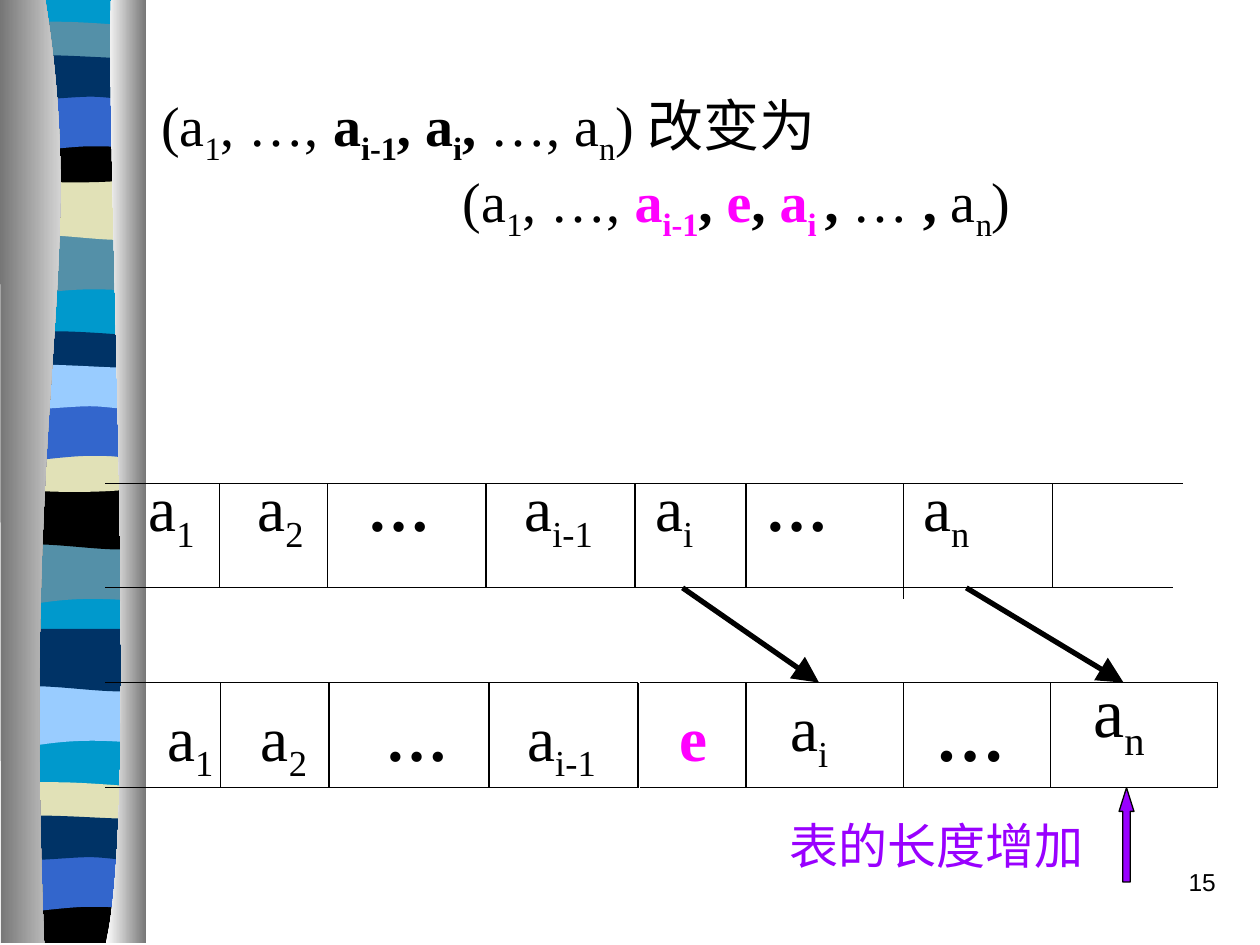
from dataclasses import dataclass

from lxml.etree import SubElement
from pptx import Presentation
from pptx.dml.color import RGBColor
from pptx.enum.shapes import MSO_CONNECTOR, MSO_SHAPE
from pptx.enum.text import PP_ALIGN
from pptx.oxml.ns import qn
from pptx.util import Cm, Pt


@dataclass(frozen=True)
class Theme:
    ink: str = "000000"
    accent: str = "FF00FF"
    note: str = "9900FF"
    cyan: str = "0099CC"
    teal: str = "5490A8"
    sand: str = "E1E1B7"
    blue: str = "3366CC"
    navy: str = "003366"
    sky: str = "99CCFF"
    shade: str = "767676"
    light: str = "FFFFFF"
    serif: str = "Times New Roman"
    sans: str = "Arial"
    formula: int = 32
    cell: int = 36
    large: int = 40
    caption: int = 28
    number: int = 14


def bend(outline, segments):
    """Merge the three lines drawn for each six-number segment into one cubic curve."""
    lines = iter(outline.findall(qn("a:lnTo")))
    for segment in segments[1:]:
        steps = [next(lines) for _ in range(len(segment) // 2)]
        if len(steps) == 1:
            continue
        curve = SubElement(outline, qn("a:cubicBezTo"))
        steps[0].addprevious(curve)
        for step in steps:
            curve.append(step[0])
            outline.remove(step)


class SlideBuilder:
    def __init__(self, slide, theme):
        self.shapes = slide.shapes
        self.theme = theme

    def outline(self, segments, colours, left=0, top=0):
        """Draw a closed outline; two colours give a gradient from left to right."""
        points = [(Cm(left + x), Cm(top + y)) for segment in segments
                  for x, y in zip(segment[::2], segment[1::2])]
        builder = self.shapes.build_freeform(*points[0])
        builder.add_line_segments(points[1:], close=True)
        shape = builder.convert_to_shape()
        bend(shape._element.find(".//" + qn("a:path")), segments)
        shape.shadow.inherit = False
        shape.line.fill.background()
        if len(colours) == 1:
            shape.fill.solid()
            shape.fill.fore_color.rgb = RGBColor.from_string(colours[0])
            return
        shape.fill.gradient()
        shape.fill.gradient_angle = 0
        for stop, colour in zip(shape.fill.gradient_stops, colours):
            stop.color.rgb = RGBColor.from_string(colour)

    def line(self, x1, y1, x2, y2, width=0.75, arrow=False):
        rule = self.shapes.add_connector(
            MSO_CONNECTOR.STRAIGHT, Cm(x1), Cm(y1), Cm(x2), Cm(y2))
        rule.line.width = Pt(width)
        rule.line.color.rgb = RGBColor.from_string(self.theme.ink)
        if arrow:
            SubElement(rule.line._get_or_add_ln(), qn("a:tailEnd"),
                       type="triangle", w="lg", len="lg")
        SubElement(rule._element.spPr, qn("a:effectLst"))

    def text(self, box, paragraphs, size, colour=None, font=None,
             align=PP_ALIGN.LEFT, tabs=(), indents=(0,)):
        """Write paragraphs of (text, marks): _ subscript, b bold, e accent colour."""
        frame = self.shapes.add_textbox(*map(Cm, box)).text_frame
        frame.word_wrap = True
        for index, (runs, indent) in enumerate(zip(paragraphs, indents)):
            paragraph = frame.add_paragraph() if index else frame.paragraphs[0]
            paragraph.alignment = align
            properties = paragraph._p.get_or_add_pPr()
            if indent:
                properties.set("marL", str(Cm(indent)))
            if tabs:
                stops = SubElement(properties, qn("a:tabLst"))
                for tab in tabs:
                    SubElement(stops, qn("a:tab"), pos=str(Cm(tab)), algn="l")
            for words, marks in runs:
                run = paragraph.add_run()
                run.text = words
                run.font.name = font or self.theme.serif
                run.font.size = Pt(size)
                run.font.bold = "b" in marks
                run.font.color.rgb = RGBColor.from_string(
                    self.theme.accent if "e" in marks else colour or self.theme.ink)
                if "_" in marks:
                    run._r.get_or_add_rPr().set("baseline", "-25000")

    def up_arrow(self, box, colour):
        shape = self.shapes.add_shape(MSO_SHAPE.UP_ARROW, *map(Cm, box))
        shape.adjustments[1] = 1.59
        shape.shadow.inherit = False
        shape.fill.solid()
        shape.fill.fore_color.rgb = RGBColor.from_string(colour)
        shape.line.width = Pt(0.75)
        shape.line.color.rgb = RGBColor.from_string(self.theme.ink)


def draw_ribbon(page, theme):
    """Draw the striped ribbon between two shaded columns on the left edge."""
    flat, width = (0, 0), 2.74
    swoop = [(width, 0), (width, 1.19), (0.84, 0.99, 0.46, 1.4, 0, 1.19), flat]
    ripple = [(width, 0), (width, 1.19), (2.29, 1.4, 0.84, 1.04, 0, 1.19), flat]
    cap = [(width, 0.13), (width, 0.74), (2.29, 0.86, 0.46, 0.86, 0, 0.74), (0, 0.13),
           (0.18, 0, 0.58, 0.03, 1.04, 0.03), (1.5, 0.03, 2.39, 0.1, width, 0.13)]
    sag = (1.68, 0.13, 2.16, 0, width, 0)
    bowl = [(width, 0), (width, 0.84), (2.29, 0.97, 0.46, 0.97, 0, 0.84), flat, sag]
    foot = [(width, 0), (width, 0.94), (0, 0.94), flat, sag]
    dome = [(width, 0), (width, 1.2), (2.31, 1.07, 2.13, 1.07, 1.68, 1.07),
            (1.22, 1.07, 0.41, 1.2, 0, 1.2), flat]
    wave = [(width, 0.13), (width, 0.91), (2.57, 1.04, 2.13, 0.91, 1.68, 0.91),
            (1.22, 0.91, 0.28, 1.04, 0, 0.91), (0, 0.13),
            (0.38, 0, 1.85, 0.13, 2.31, 0.13), (2.77, 0.13, 2.67, 0.13, width, 0.13)]
    tops = [4.7, 3.58, 0.41, 2.74, 1.88, 1.04]
    stripes = [swoop, ripple, cap, bowl, dome, wave]
    last_stripes = [swoop, ripple, cap, foot, dome, wave]
    t = theme
    groups = [
        (0.15, [0] * 6, stripes, [t.teal, t.sand, t.teal, t.ink, t.blue, t.navy]),
        (0.13, [6.24] * 6, stripes, [t.teal, t.ink, t.navy, t.sand, t.blue, t.sky]),
        (0.12, [9.1] * 2 + [15.33] * 4, last_stripes,
         [t.sky, t.navy, t.sand, t.ink, t.blue, t.navy]),
    ]
    page.outline([(2.9, -0.02), (2.9, 18.97), (0.15, 18.97), (0.15, -0.02)], [t.cyan])
    for left, shifts, outlines, colours in groups:
        for top, shift, stripe, colour in zip(tops, shifts, outlines, colours):
            page.outline(stripe, [colour], left, top + shift)
    page.outline([(0.91, -0.02), (1.8, 5.49, 0.43, 7.52, 0.89, 19.02),
                  (0.02, 19.02), (0, -0.02)], [t.shade, t.light])
    page.outline([(2.24, -0.02), (2.13, 3.18, 2.82, 16.41, 2.13, 19.02),
                  (2.95, 19.02), (2.95, 0)], [t.light, t.shade])


def main():
    theme = Theme()
    deck = Presentation()
    deck.slide_width, deck.slide_height = Cm(25.4), Cm(19.05)
    page = SlideBuilder(deck.slides.add_slide(deck.slide_layouts[6]), theme)
    draw_ribbon(page, theme)

    before = [("(a", ""), ("1", "_"), (", …, ", ""), ("a", "b"), ("i-1", "b_"),
              (", a", "b"), ("i", "b_"), (", ", "b"), ("…, a", ""), ("n", "_"),
              (") 改变为", "")]
    after = [("(a", ""), ("1", "_"), (", …,", ""), (" a", "be"), ("i-1", "be_"),
             (",", "b"), (" e", "be"), (",", "b"), (" a", "be"), ("i ", "be_"),
             (",", "b"), (" … ", ""), (",", "b"), (" a", ""), ("n", "_"), (")", "")]
    page.text((3, 1.7, 18.5, 3.35), [before, after], theme.formula, indents=(0, 6.08))

    old_top, old_bottom, new_top, new_bottom = 9.74, 11.85, 13.76, 15.88
    head = [("a", ""), ("1", "_"), ("\ta", ""), ("2", "_"), ("\t…", "b"),
            ("\ta", ""), ("i-1", "_")]
    rest = [("\ta", ""), ("i", "_"), ("\t…", "b"), ("\ta", ""), ("n", "_")]
    page.text((2.74, 9.32, 22.66, 2.01), [head + rest], theme.cell,
              tabs=(2.2, 4.41, 7.58, 10.22, 12.45, 15.62))
    page.line(2.12, old_top, 23.84, old_top)
    page.line(2.12, old_bottom, 23.65, old_bottom)
    for x in (4.42, 6.6, 9.8, 12.8, 15.04, 21.21):
        page.line(x, old_top, x, old_bottom)
    page.line(18.21, old_top, 18.21, 12.07)

    page.text((3.12, 13.95, 9.8, 2.01), [head], theme.cell, tabs=(1.89, 4.41, 7.26))
    page.text((13.44, 13.95, 1.4, 1.78), [[("e", "be")]], theme.cell)
    page.text((15.68, 13.76, 1.5, 2.01), [[("a", ""), ("i", "_")]], theme.cell)
    page.text((18.61, 13.82, 1.91, 1.96), [[("…", "b")]], theme.large)
    page.text((21.79, 13.34, 2.06, 2.18), [[("a", ""), ("n", "_")]], theme.large)
    for start, end in ((2.12, 12.86), (12.91, 15.66), (18.21, 21.38), (21.17, 24.55)):
        for y in (new_top, new_bottom):
            page.line(start, y, end, y)
    page.line(15.04, new_top, 18.63, new_top)
    for start, end in ((15.04, 18.42), (16.15, 16.71)):
        page.line(start, new_bottom, end, new_bottom)
    for x in (4.45, 6.63, 9.86, 12.86, 15.04, 18.21, 21.17, 24.55):
        page.line(x, new_top, x, new_bottom)

    for start, end in ((13.76, 16.51), (19.48, 22.65)):
        page.line(start, old_bottom, end, new_top, width=3, arrow=True)
    page.text((15.67, 16.31, 6.6, 1.45), [[("表的长度增加", "")]],
              theme.caption, theme.note)
    page.up_arrow((22.56, new_bottom, 0.3, 1.9), theme.note)
    page.text((19.48, 17.35, 5.28, 1.27), [[("15", "")]], theme.number,
              font=theme.sans, align=PP_ALIGN.RIGHT)
    deck.save("out.pptx")


if __name__ == "__main__":
    main()
